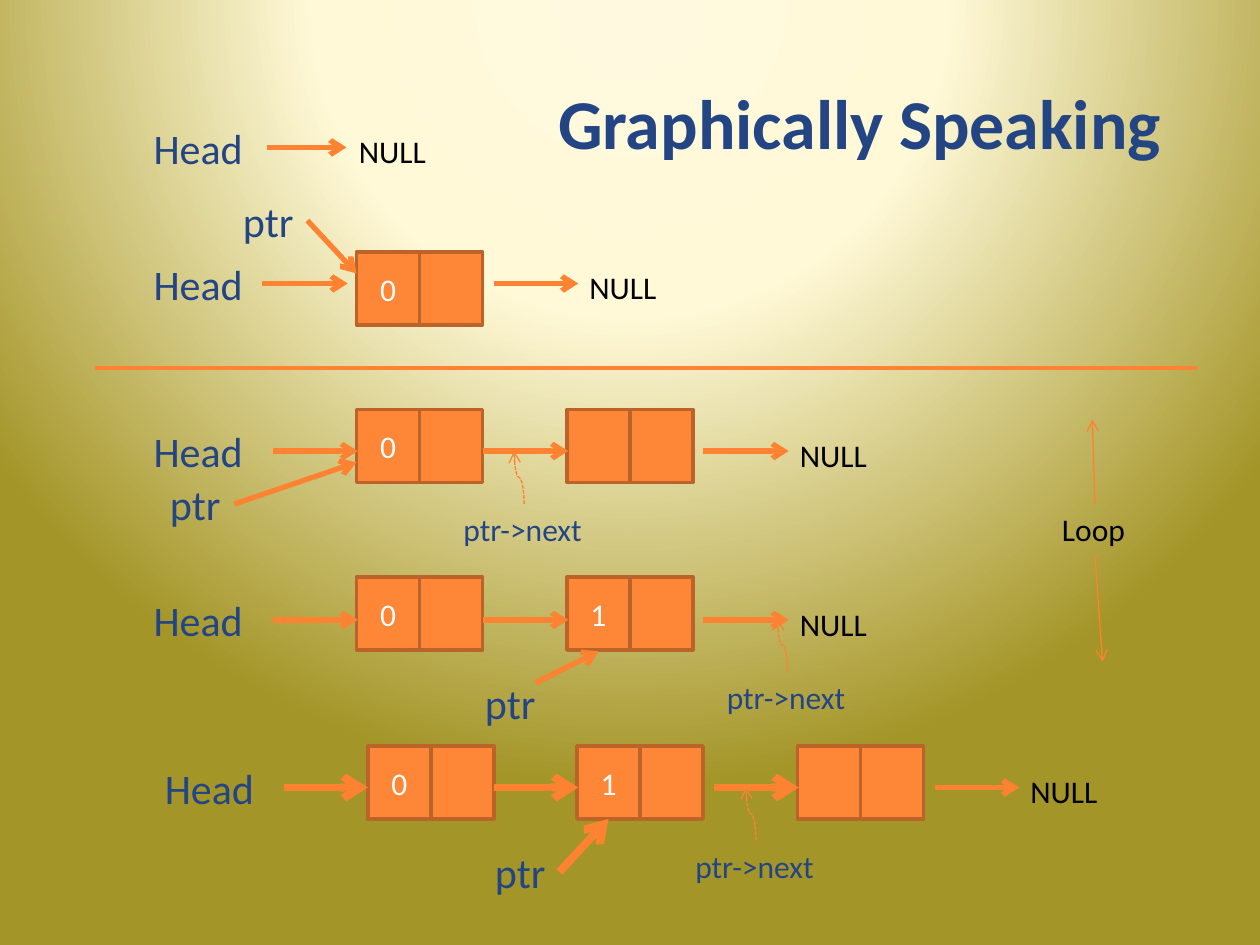
from lxml import etree
from pptx import Presentation
from pptx.dml.color import RGBColor
from pptx.enum import dml, shapes, text
from pptx.oxml import parse_xml
from pptx.oxml.ns import nsdecls, qn
from pptx.util import Inches, Pt

ORANGE = RGBColor(0xFE, 0x86, 0x37)
BORDER = RGBColor(0xBC, 0x63, 0x29)
ARROW = RGBColor(0xFD, 0x82, 0x31)
NAVY = RGBColor(0x24, 0x45, 0x83)
BLACK = RGBColor(0, 0, 0)
WHITE = RGBColor(0xFF, 0xFF, 0xFF)
FONT = "Calibri"

# Content: each list state, with nodes as (left, value) and
# arrows as (start x, end x, weight); NULL ends the chain
LIST_STATES = [
    dict(head=(1.12, 0.92), node_top=None, nodes=[],
         arrows=[(2.12, 2.75, 3)], null_left=2.75),
    dict(head=(1.12, 2), node_top=2, nodes=[(2.83, "0")],
         arrows=[(2.08, 2.76, 3), (3.92, 4.59, 3)], null_left=4.58),
    dict(head=(1.12, 3.33), node_top=3.25, nodes=[(2.83, "0"), (4.5, "")],
         arrows=[(2.17, 2.84, 3), (3.83, 4.51, 3), (5.58, 6.26, 3)], null_left=6.25),
    dict(head=(1.12, 4.67), node_top=4.58, nodes=[(2.83, "0"), (4.5, "1")],
         arrows=[(2.17, 2.84, 3), (3.83, 4.51, 3), (5.58, 6.26, 3)], null_left=6.25),
    dict(head=(1.21, 6), node_top=5.92, nodes=[(2.92, "0"), (4.58, "1"), (6.33, "")],
         arrows=[(2.25, 2.92, 4.5), (3.92, 4.59, 4.5), (5.67, 6.34, 4.5),
                 (7.42, 8.09, 3)], null_left=8.08),
]
# ptr label position, arrow start, arrow end, weight
POINTERS = [
    ((1.83, 1.5), (2.44, 1.75), (2.83, 2.17), 3),
    ((1.25, 3.75), (1.86, 4), (2.83, 3.67), 3),
    ((3.75, 5.33), (4.25, 5.42), (4.75, 5.17), 3),
    ((3.83, 6.67), (4.44, 6.92), (4.83, 6.5), 4.5),
]
NEXT_LABELS = [(3.58, 4), (5.67, 5.33), (5.42, 6.67)]
LOOP_ARROWS = [((8.69, 4), (8.67, 3.33)), ((8.69, 4.4), (8.75, 5.25))]

CELL_W, CELL_H = 0.5, 0.58
NULL_DROP, ARROW_DROP = 0.08, 0.25     # measured from the top of Head
CURVE_RISE, CURVE_SHIFT = 0.42, 0.08

prs = Presentation()
prs.slide_width, prs.slide_height = Inches(10), Inches(7.5)
slide = prs.slides.add_slide(prs.slide_layouts[5])


def style_text(frame, words, size, color, bold=False):
    frame.text = words
    font = frame.paragraphs[0].runs[0].font
    font.name, font.size, font.bold = FONT, Pt(size), bold
    font.color.rgb = color


def add_label(words, left, top, width, size, color):
    height = 0.5 if size == 24 else 0.4
    frame = slide.shapes.add_textbox(
        Inches(left), Inches(top), Inches(width), Inches(height)).text_frame
    frame.word_wrap = False
    frame.auto_size = text.MSO_AUTO_SIZE.SHAPE_TO_FIT_TEXT
    style_text(frame, words, size, color)


def add_line(start, end, weight, arrow=True, kind=shapes.MSO_CONNECTOR.STRAIGHT):
    line = slide.shapes.add_connector(kind, *map(Inches, (*start, *end)))
    line.line.color.rgb = ARROW
    line.line.width = Pt(weight)
    if arrow:
        etree.SubElement(line.line._get_or_add_ln(), qn("a:tailEnd"), type="arrow")
    etree.SubElement(line._element.spPr, qn("a:effectLst"))
    return line


def add_node(left, top, value):
    group = slide.shapes.add_group_shape()
    for column, words in enumerate((value, "")):
        cell = group.shapes.add_shape(
            shapes.MSO_SHAPE.RECTANGLE, Inches(left + column * CELL_W),
            Inches(top), Inches(CELL_W), Inches(CELL_H))
        cell.shadow.inherit = False
        cell.fill.solid()
        cell.fill.fore_color.rgb = ORANGE
        cell.line.color.rgb = BORDER
        cell.line.width = Pt(2)
        if words:
            style_text(cell.text_frame, words, 18, WHITE)
            cell.text_frame.vertical_anchor = text.MSO_ANCHOR.MIDDLE
            cell.text_frame.paragraphs[0].alignment = text.PP_ALIGN.CENTER


# Background: glow from above the top edge
stops = "".join(f'<a:gs pos="{pos}000"><a:srgbClr val="{color}"/></a:gs>'
                for pos, color in [(0, "FFFADF"), (40, "FFF9D8"), (100, "A49528")])
slide.element.cSld.insert(0, parse_xml(
    f'<p:bg {nsdecls("p", "a")}><p:bgPr><a:gradFill rotWithShape="1">'
    f'<a:gsLst>{stops}</a:gsLst><a:path path="circle">'
    '<a:fillToRect l="50000" t="-80000" r="50000" b="180000"/></a:path>'
    '</a:gradFill><a:effectLst/></p:bgPr></p:bg>'))

# Title
title = slide.shapes.title
title.left, title.top, title.width, title.height = map(Inches, (4.33, 0.58, 5.08, 0.77))
style_text(title.text_frame, "Graphically Speaking", 40, NAVY, bold=True)
title.text_frame.word_wrap = True
title.text_frame.auto_size = text.MSO_AUTO_SIZE.SHAPE_TO_FIT_TEXT
title.text_frame.vertical_anchor = text.MSO_ANCHOR.TOP
title.text_frame.paragraphs[0].alignment = text.PP_ALIGN.LEFT

# List states, one per row
for state in LIST_STATES:
    head_left, head_top = state["head"]
    arrow_y = head_top + ARROW_DROP
    for left, value in state["nodes"]:
        add_node(left, state["node_top"], value)
    add_label("Head", head_left, head_top, 0.99, 24, NAVY)
    for start, end, weight in state["arrows"]:
        add_line((start, arrow_y), (end, arrow_y), weight)
    add_label("NULL", state["null_left"], head_top + NULL_DROP, 0.74, 18, BLACK)

# Divider between setup and loop
add_line((0.75, 2.92), (9.5, 2.92), 2.25, arrow=False)

# ptr labels
for (left, top), start, end, weight in POINTERS:
    add_label("ptr", left, top, 0.61, 24, NAVY)
    add_line(start, end, weight)

# ptr->next labels, each with a dashed curve rising to its arrow
for left, top in NEXT_LABELS:
    add_label("ptr->next", left, top, 1.16, 18, NAVY)
    middle_x = left + 0.58 - CURVE_SHIFT / 2
    middle_y = top - CURVE_RISE / 2
    curve = add_line((middle_x - CURVE_RISE / 2, middle_y + CURVE_SHIFT / 2),
                     (middle_x + CURVE_RISE / 2, middle_y - CURVE_SHIFT / 2),
                     0.75, kind=shapes.MSO_CONNECTOR.CURVE)
    curve.line.dash_style = dml.MSO_LINE.SQUARE_DOT
    curve._element.spPr.find(qn("a:xfrm")).set("rot", str(270 * 60000))

# Loop marker
add_label("Loop", 8.33, 4, 0.71, 18, BLACK)
for start, end in LOOP_ARROWS:
    add_line(start, end, 0.75)

prs.save("out.pptx")
